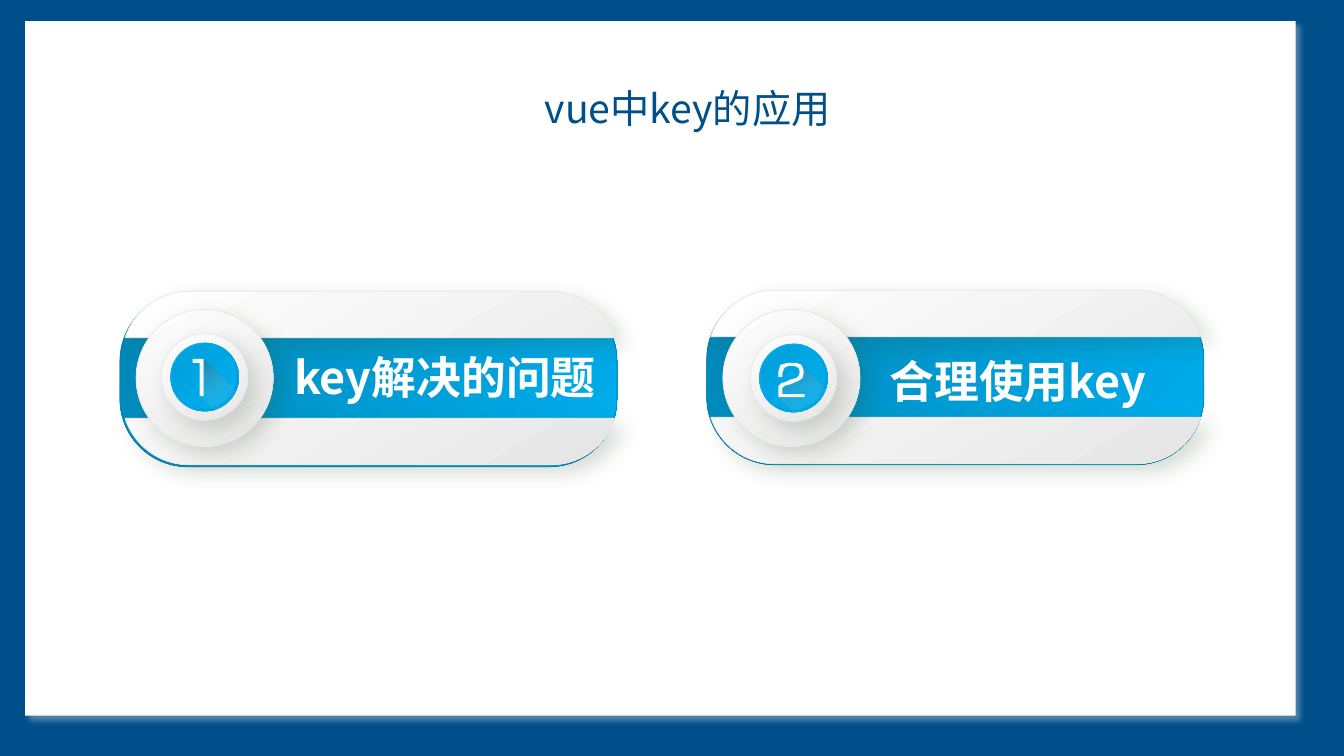
"""Build the slide on the use of key in vue, with two numbered pill buttons."""
from dataclasses import dataclass

from lxml.etree import SubElement
from pptx import Presentation
from pptx.dml.color import RGBColor
from pptx.enum.shapes import MSO_SHAPE
from pptx.enum.text import MSO_ANCHOR, MSO_AUTO_SIZE, PP_ALIGN
from pptx.oxml.ns import qn
from pptx.util import Inches, Pt

Point = tuple[float, float]


@dataclass(frozen=True)
class Stop:
    position: int
    color: str
    opacity: int = 100


@dataclass(frozen=True)
class Gradient:
    stops: tuple[Stop, ...]
    angle: int


@dataclass(frozen=True)
class Shadow:
    color: str
    opacity: int
    blur: int
    distance: int
    angle: int


@dataclass(frozen=True)
class Theme:
    navy: str = "004F8A"
    white: str = "FFFFFF"
    silver: str = "E7E6E6"
    deep_blue: str = "0084B4"
    digit: str = "F6F6F0"
    title_font: str = "Noto Sans CJK JP"
    label_font: str = "Noto Sans CJK SC"
    title_size: int = 28
    label_size: int = 32
    metal: Gradient = Gradient((Stop(0, "FFFFFF"), Stop(100, "E7E6E6")), 60)
    band: Gradient = Gradient((Stop(0, "0084B4"), Stop(100, "00B0F0")), 45)
    rim: Gradient = Gradient((Stop(0, "00B0F0"), Stop(100, "009ED8")), 45)
    core: Gradient = Gradient((Stop(0, "009ED8"), Stop(100, "00B0F0")), 45)
    cast: Gradient = Gradient((Stop(0, "3F3F3F", 40), Stop(76, "FFFFFF", 0)), 60)
    panel_shadow: Shadow = Shadow("FFFFFF", 30, 4, 5, 45)
    soft_shadow: Shadow = Shadow("32522C", 20, 15, 8, 45)
    digit_glow: Shadow = Shadow("00B0F0", 40, 5, 0, 0)


@dataclass(frozen=True)
class Button:
    label: str
    label_box: tuple[float, float, float, float]
    pill: Point
    caps: Point
    disc: Point
    ring: Point
    digit: tuple[Point, ...]
    cast: tuple[Point, ...]


THEME = Theme()
DIGIT_ONE = ((1.98, 3.93), (1.98, 3.6), (1.91, 3.6), (1.91, 3.56), (2.02, 3.56), (2.02, 3.93))
DIGIT_TWO = (
    (7.72, 3.94), (7.72, 3.86), (7.72, 3.83), (7.75, 3.8), (7.79, 3.79), (7.83, 3.77),
    (7.86, 3.76), (7.9, 3.75), (7.92, 3.73), (7.93, 3.7), (7.93, 3.68), (7.92, 3.65),
    (7.88, 3.63), (7.85, 3.63), (7.82, 3.63), (7.78, 3.65), (7.76, 3.7), (7.76, 3.74),
    (7.72, 3.74), (7.72, 3.69), (7.74, 3.62), (7.81, 3.6), (7.85, 3.6), (7.9, 3.6),
    (7.95, 3.62), (7.97, 3.67), (7.97, 3.71), (7.96, 3.75), (7.92, 3.78), (7.89, 3.79),
    (7.85, 3.81), (7.81, 3.82), (7.78, 3.83), (7.76, 3.85), (7.76, 3.87), (7.76, 3.91),
    (7.98, 3.91), (7.98, 3.94),
)
BUTTONS = (
    Button("key解决的问题", (2.71, 3.41, 3.41, 0.65), (1.19, 2.91), (1.24, 2.89),
           (1.35, 3.07), (1.6, 3.31), DIGIT_ONE,
           ((2.02, 3.56), (1.99, 3.93), (2.21, 4.17), (2.42, 3.96))),
    Button("合理使用key", (8.62, 3.45, 2.95, 0.65), (7.01, 2.89), (7.05, 2.88),
           (7.17, 3.07), (7.44, 3.32), DIGIT_TWO,
           ((7.95, 3.62), (7.93, 3.74), (7.75, 3.83), (7.72, 3.94), (7.99, 4.21), (8.27, 3.94))),
)


def add_color(parent, color: str, opacity: int) -> None:
    """Append an RGB colour with its opacity to an XML element."""
    element = SubElement(parent, qn("a:srgbClr"), val=color)
    if opacity < 100:
        SubElement(element, qn("a:alpha"), val=str(opacity * 1000))


def style(shape, fill: str | Gradient, line: str | None = None,
          shadow: Shadow | None = None, line_width: float = 0.5) -> None:
    """Set the fill, outline and shadow of a shape."""
    if isinstance(fill, Gradient):
        shape.fill.gradient()
        gradient = shape._element.spPr.find(qn("a:gradFill"))
        for child in list(gradient):
            gradient.remove(child)
        stops = SubElement(gradient, qn("a:gsLst"))
        for stop in fill.stops:
            add_color(SubElement(stops, qn("a:gs"), pos=str(stop.position * 1000)),
                      stop.color, stop.opacity)
        SubElement(gradient, qn("a:lin"), ang=str(fill.angle * 60000), scaled="0")
    else:
        shape.fill.solid()
        shape.fill.fore_color.rgb = RGBColor.from_string(fill)
    if line:
        shape.line.color.rgb = RGBColor.from_string(line)
        shape.line.width = Pt(line_width)
    else:
        shape.line.fill.background()
    shape.shadow.inherit = False
    if shadow:
        effects = shape._element.spPr.find(qn("a:effectLst"))
        outer = SubElement(effects, qn("a:outerShdw"), blurRad=str(Pt(shadow.blur)),
                           dist=str(Pt(shadow.distance)), dir=str(shadow.angle * 60000),
                           algn="tl", rotWithShape="0")
        add_color(outer, shadow.color, shadow.opacity)


def add_preset(slide, kind: MSO_SHAPE, origin: Point, width: float, height: float):
    """Add a preset shape placed in inches."""
    return slide.shapes.add_shape(kind, *map(Inches, (*origin, width, height)))


def add_outline(slide, *contours: list[Point] | tuple[Point, ...]):
    """Add one closed freeform made of one or more contours in inches."""
    scaled = [[(Inches(x), Inches(y)) for x, y in contour] for contour in contours]
    builder = slide.shapes.build_freeform(*scaled[0][0], scale=1.0)
    for index, contour in enumerate(scaled):
        if index:
            builder.move_to(*contour[0])
        builder.add_line_segments(contour[1:], close=True)
    return builder.convert_to_shape()


def cap_contours(origin: Point) -> tuple[list[Point], list[Point]]:
    """Return the mirrored top and bottom caps of a pill."""
    left, top = origin
    width, height, steps = 4.86, 1.72, 16
    corner = []
    for step in range(steps + 1):
        t = step / steps
        weights = ((1 - t) ** 3, 3 * t * (1 - t) ** 2, 3 * t * t * (1 - t), t ** 3)
        corner.append((sum(w * x for w, x in zip(weights, (4.23, 4.52, 4.77, 4.86))),
                       sum(w * y for w, y in zip(weights, (0, 0, 0.19, 0.46)))))
    cap = corner + [(width - x, y) for x, y in reversed(corner)]
    return ([(left + x, top + y) for x, y in cap],
            [(left + x, top + height - y) for x, y in cap])


def write_text(shape, text: str, font_name: str, size: int, color: str, bold: bool) -> None:
    """Write one centred line of formatted text."""
    frame = shape.text_frame
    frame.text = text
    frame.word_wrap = True
    frame.auto_size = MSO_AUTO_SIZE.NONE
    frame.vertical_anchor = MSO_ANCHOR.MIDDLE
    paragraph = frame.paragraphs[0]
    paragraph.alignment = PP_ALIGN.CENTER
    for run in paragraph.runs:
        run.font.name = font_name
        run.font.size = Pt(size)
        run.font.bold = bold
        run.font.color.rgb = RGBColor.from_string(color)
        SubElement(run.font._element, qn("a:ea"), typeface=font_name)


def add_button(slide, button: Button) -> None:
    """Draw a pill with its numbered disc and label."""
    pill = add_preset(slide, MSO_SHAPE.ROUNDED_RECTANGLE, button.pill, 4.93, 1.72)
    pill.adjustments[0] = 0.39
    style(pill, THEME.band, THEME.deep_blue)
    style(add_outline(slide, *cap_contours(button.caps)),
          THEME.metal, THEME.silver, THEME.soft_shadow)
    for origin, diameter in ((button.disc, 1.36), (button.ring, 0.86)):
        style(add_preset(slide, MSO_SHAPE.OVAL, origin, diameter, diameter),
              THEME.metal, THEME.silver, THEME.soft_shadow)
    for inset, diameter, fill in ((0.09, 0.68, THEME.rim), (0.11, 0.63, THEME.core)):
        origin = (button.ring[0] + inset, button.ring[1] + inset)
        style(add_preset(slide, MSO_SHAPE.OVAL, origin, diameter, diameter), fill)
    style(add_outline(slide, button.cast), THEME.cast)
    style(add_outline(slide, button.digit), THEME.digit, shadow=THEME.digit_glow)
    label = slide.shapes.add_textbox(*map(Inches, button.label_box))
    frame = label.text_frame
    frame.margin_left = frame.margin_right = Inches(0.13)
    frame.margin_top = frame.margin_bottom = Inches(0.07)
    write_text(label, button.label, THEME.label_font, THEME.label_size, THEME.white, True)


def main() -> None:
    """Build and save the presentation."""
    presentation = Presentation()
    presentation.slide_width, presentation.slide_height = Inches(13.33), Inches(7.5)
    slide = presentation.slides.add_slide(presentation.slide_layouts[5])
    slide.background.fill.solid()
    slide.background.fill.fore_color.rgb = RGBColor.from_string(THEME.navy)
    panel = add_preset(slide, MSO_SHAPE.RECTANGLE, (0.25, 0.21), 12.6, 6.89)
    style(panel, THEME.white, shadow=THEME.panel_shadow)
    for button in BUTTONS:
        add_button(slide, button)
    title = slide.shapes.title
    title.left, title.top, title.width, title.height = map(Inches, (3.83, 0.78, 5.98, 0.57))
    style(title, THEME.white, THEME.white, line_width=1)
    write_text(title, "vue中key的应用", THEME.title_font, THEME.title_size, THEME.navy, False)
    slide.shapes._spTree.append(title._element)
    presentation.save("out.pptx")


if __name__ == "__main__":
    main()
